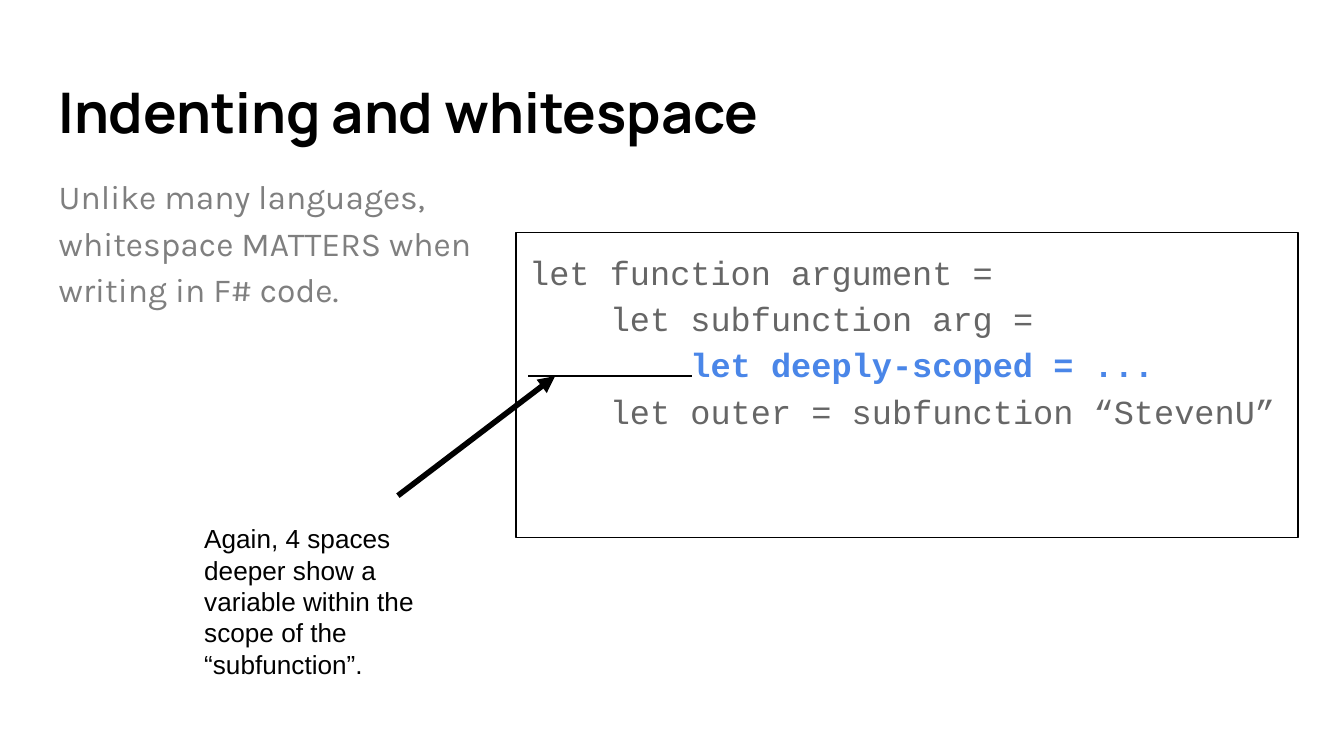
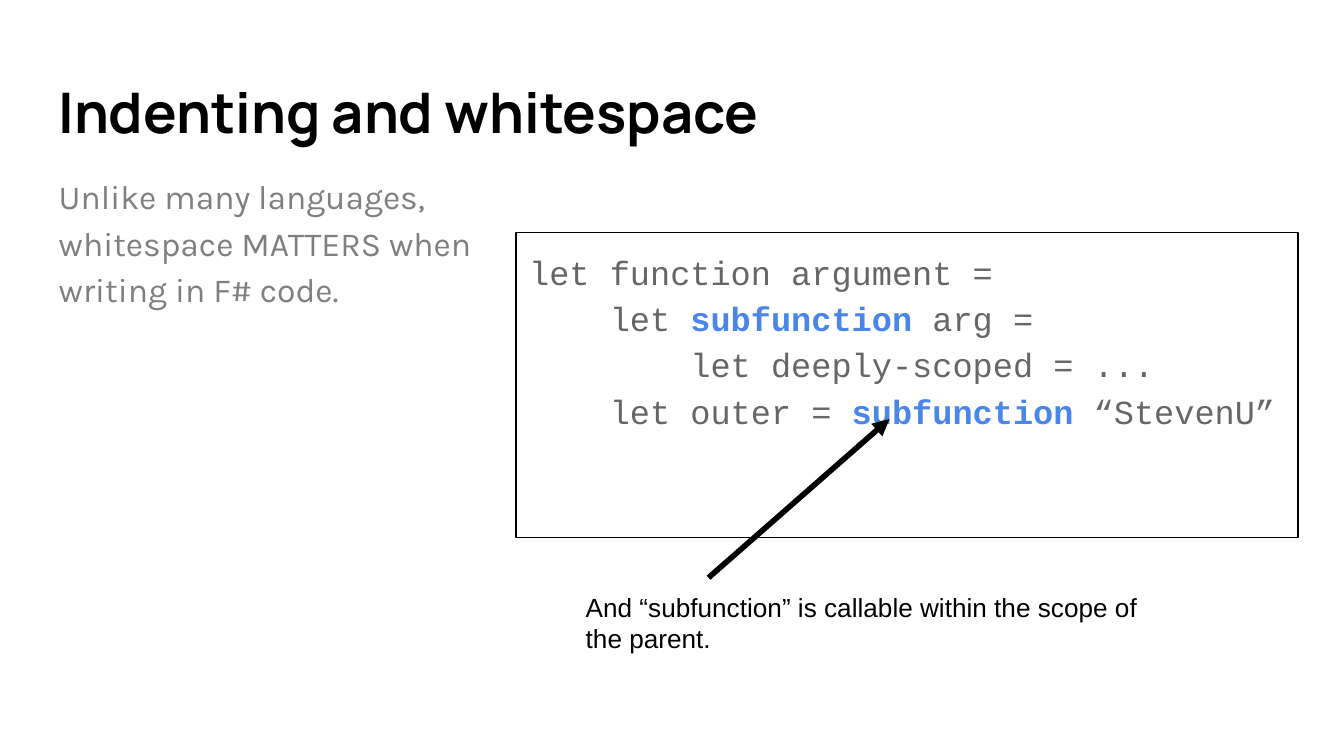
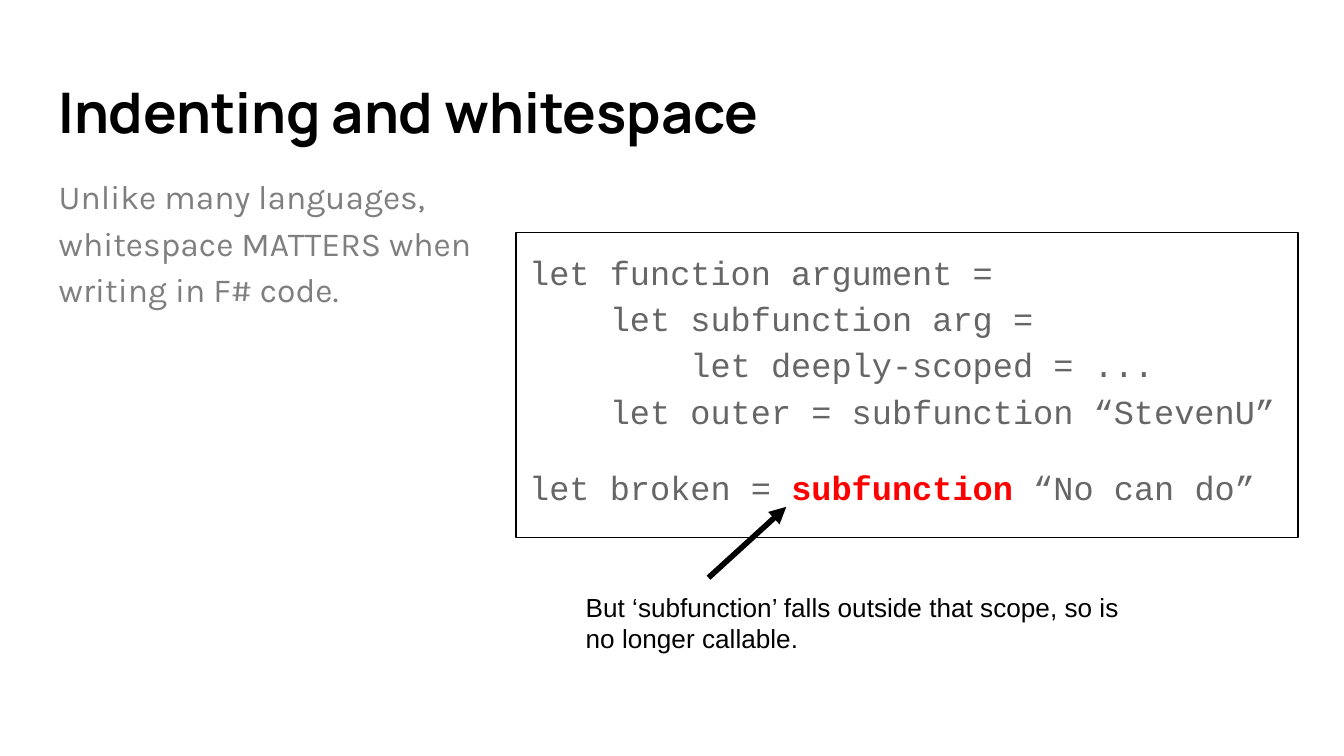
from lxml import etree
from pptx import Presentation
from pptx.dml.color import RGBColor
from pptx.enum.shapes import MSO_CONNECTOR
from pptx.enum.text import MSO_ANCHOR, MSO_AUTO_SIZE, PP_ALIGN
from pptx.oxml.ns import qn
from pptx.util import Cm, Pt

STRAIGHT = MSO_CONNECTOR.STRAIGHT
TOP, MIDDLE = MSO_ANCHOR.TOP, MSO_ANCHOR.MIDDLE
LEFT = PP_ALIGN.LEFT
NO_AUTOFIT = MSO_AUTO_SIZE.NONE
TWO_CONTENT = 3

COLORS = {
    "ink": "000000",
    "prose": "7F7F7F",
    "code": "666666",
    "scope": "4A86E8",
    "error": "FF0000",
}
INSET = Cm(0.25)

HEADING = "Indenting and whitespace"
RULE = "Unlike many languages, whitespace MATTERS when writing in F# code."
# Asterisks enclose the highlighted parts of the code.
DEEPER = """let function argument = 
    let subfunction arg = 
        *let deeply-scoped = ...*
    let outer = subfunction “StevenU”"""
CALLABLE = """let function argument = 
    let *subfunction *arg = 
        let deeply-scoped = ...
    let outer = *subfunction *“StevenU”"""
OUTSIDE = DEEPER.replace("*", "")
BROKEN = "let broken = *subfunction *“No can do”"


def rgb(color):
    return RGBColor.from_string(COLORS[color])


class Deck:
    """Holds the shared style and the slide being built."""

    def __init__(self):
        self.presentation = Presentation()
        self.presentation.slide_width = Cm(25.4)
        self.presentation.slide_height = Cm(14.29)
        self.slide = None

    def new_slide(self):
        layout = self.presentation.slide_layouts[TWO_CONTENT]
        self.slide = self.presentation.slides.add_slide(layout)

    def place(self, shape, left, top, width, height):
        shape.left, shape.top = Cm(left), Cm(top)
        shape.width, shape.height = Cm(width), Cm(height)

    def frame(self, shape, anchor=TOP):
        """Prepare the shape's text frame and return it."""
        frame = shape.text_frame
        frame.word_wrap = True
        frame.auto_size = NO_AUTOFIT
        frame.vertical_anchor = anchor
        frame.margin_left = frame.margin_right = INSET
        frame.margin_top = frame.margin_bottom = INSET
        return frame

    def style(self, paragraph, font, size, color, bold=False):
        paragraph.alignment = LEFT
        paragraph.font.name = font
        paragraph.font.size = Pt(size)
        paragraph.font.bold = bold
        paragraph.font.color.rgb = rgb(color)

    def style_body(self, paragraph, font, color):
        """Style a body paragraph, without the template's bullet."""
        paragraph.line_spacing = 1.15
        paragraph.space_before, paragraph.space_after = Pt(0), Pt(16)
        properties = paragraph._p.get_or_add_pPr()
        properties.set("marL", "0")
        properties.set("indent", "0")
        etree.SubElement(properties, qn("a:buNone"))
        self.style(paragraph, font, 18, color)

    def title(self, text):
        title = self.slide.shapes.title
        self.place(title, 0.86, 1.24, 23.67, 1.73)
        frame = self.frame(title, MIDDLE)
        frame.text = text
        self.style(frame.paragraphs[0], "Manrope", 30, "ink", bold=True)

    def code(self, blocks, highlight):
        """Fill the framed code box, one paragraph per block."""
        box = self.slide.placeholders[1]
        self.place(box, 9.75, 4.39, 14.78, 5.77)
        box.line.color.rgb = rgb("ink")
        box.line.width = Pt(0.75)
        frame = self.frame(box)
        for index, block in enumerate(blocks):
            paragraph = frame.add_paragraph() if index else frame.paragraphs[0]
            self.style_body(paragraph, "Courier New", "code")
            for number, line in enumerate(block.split("\n")):
                if number:
                    paragraph.add_line_break()
                self.code_line(paragraph, line, highlight)

    def code_line(self, paragraph, line, highlight):
        for position, part in enumerate(line.split("*")):
            if not part:
                continue
            run = paragraph.add_run()
            run.text = part
            if position % 2:
                run.font.bold = True
                run.font.color.rgb = rgb(highlight)

    def prose(self, text):
        body = self.slide.placeholders[2]
        self.place(body, 0.86, 2.97, 9.63, 9.5)
        frame = self.frame(body)
        frame.text = text
        self.style_body(frame.paragraphs[0], "Karla", "prose")

    def caption(self, text, left, top, width):
        box = self.slide.shapes.add_textbox(Cm(left), Cm(top), Cm(width), Cm(2.18))
        frame = self.frame(box)
        frame.text = text
        self.style(frame.paragraphs[0], "Arial", 14, "ink")

    def line(self, start, end, weight=0.75):
        line = self.slide.shapes.add_connector(
            STRAIGHT, *(Cm(value) for value in (*start, *end)))
        line.line.color.rgb = rgb("ink")
        line.line.width = Pt(weight)
        etree.SubElement(line._element.spPr, qn("a:effectLst"))
        return line

    def arrow(self, start, end):
        arrow = self.line(start, end, 3)
        etree.SubElement(arrow.line._get_or_add_ln(), qn("a:tailEnd"), type="triangle")

    def lesson(self, blocks, highlight, arrow, caption):
        """Add a slide with the shared text, code and an explained arrow."""
        self.new_slide()
        self.title(HEADING)
        self.code(blocks, highlight)
        self.prose(RULE)
        self.arrow(*arrow)
        self.caption(*caption)


def main():
    deck = Deck()
    deck.lesson(
        [DEEPER], "scope", ((7.52, 9.37), (10.49, 7.11)),
        ("Again, 4 spaces deeper show a variable within the scope of the “subfunction”.",
         3.61, 9.63, 5.56))
    deck.line((9.98, 7.11), (13.08, 7.11))

    below_code = (10.82, 10.92, 11.05)
    arrow_start = (13.39, 10.92)
    deck.lesson(
        [CALLABLE], "scope", (arrow_start, (16.81, 7.92)),
        ("And “subfunction” is callable within the scope of the parent.", *below_code))
    deck.lesson(
        [OUTSIDE, BROKEN], "error", (arrow_start, (14.86, 9.58)),
        ("But ‘subfunction’ falls outside that scope, so is no longer callable.",
         *below_code))
    deck.presentation.save("out.pptx")


if __name__ == "__main__":
    main()
